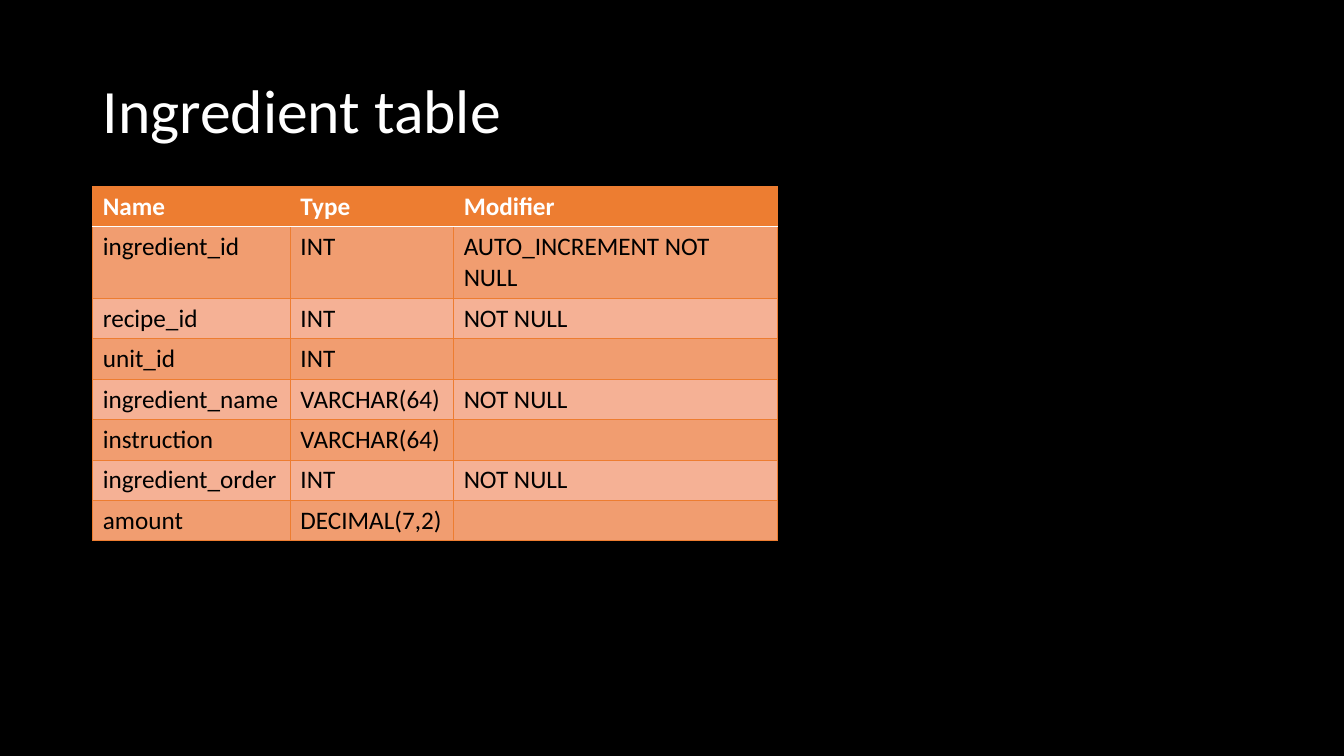
import pptx
import pptx.util
import pptx.dml.color
import pptx.enum.text
import pptx.oxml
import pptx.oxml.ns
from dataclasses import dataclass

Inches = pptx.util.Inches
Pt = pptx.util.Pt


@dataclass(frozen=True)
class Theme:
    font: str = "Calibri"
    back: str = "000000"
    light: str = "FFFFFF"
    dark: str = "000000"
    head: str = "ED7D31"
    odd: str = "F19D70"
    even: str = "F5B195"
    title: int = 44
    body: int = 18


HEADER = ("Name", "Type", "Modifier")
FIELDS = (
    ("ingredient_id", "INT", "AUTO_INCREMENT NOT NULL"),
    ("recipe_id", "INT", "NOT NULL"),
    ("unit_id", "INT", ""),
    ("ingredient_name", "VARCHAR(64)", "NOT NULL"),
    ("instruction", "VARCHAR(64)", ""),
    ("ingredient_order", "INT", "NOT NULL"),
    ("amount", "DECIMAL(7,2)", ""),
)
WIDTHS = (1.96, 1.62, 3.21)
HEIGHTS = (0.4, 0.71) + (0.4,) * 6


def rgb(code):
    return pptx.dml.color.RGBColor.from_string(code)


class Page:
    def __init__(self, deck, theme):
        self.theme = theme
        self.slide = deck.slides.add_slide(deck.slide_layouts[6])
        self.paint(self.slide.background.fill, theme.back)

    def paint(self, fill, color):
        fill.solid()
        fill.fore_color.rgb = rgb(color)

    def label(self, para, text, size, color, bold=False):
        run = para.add_run()
        run.text = text
        run.font.name = self.theme.font
        run.font.size = Pt(size)
        run.font.bold = bold
        run.font.color.rgb = rgb(color)

    def title(self, text, left, top, width, height):
        box = self.slide.shapes.add_textbox(
            Inches(left), Inches(top), Inches(width), Inches(height))
        frame = box.text_frame
        frame.word_wrap = True
        frame.vertical_anchor = pptx.enum.text.MSO_ANCHOR.MIDDLE
        para = frame.paragraphs[0]
        para.line_spacing = 0.9
        self.label(para, text, self.theme.title, self.theme.light)

    def border(self, cell, sides):
        """Draw cell edges; sides maps L, R, T, B, in that order, to (color, points)."""
        props = cell._tc.get_or_add_tcPr()
        for place, (side, (color, points)) in enumerate(sides.items()):
            props.insert(place, pptx.oxml.parse_xml(
                f'<a:ln{side} {pptx.oxml.ns.nsdecls("a")} w="{Pt(points)}">'
                f'<a:solidFill><a:srgbClr val="{color}"/></a:solidFill>'
                f'</a:ln{side}>'))

    def table(self, rows, left, top, widths, heights):
        theme = self.theme
        grid = self.slide.shapes.add_table(
            len(rows), len(widths), Inches(left), Inches(top),
            Inches(sum(widths)), Inches(sum(heights))).table
        for col, width in zip(grid.columns, widths):
            col.width = Inches(width)
        edge, rule = (theme.head, 0.5), (theme.light, 1)
        for i, (row, height) in enumerate(zip(rows, heights)):
            grid.rows[i].height = Inches(height)
            first = i == 0
            fill = theme.head if first else (theme.even, theme.odd)[i % 2]
            sides = {"L": edge, "R": edge,
                     "T": rule if i == 1 else edge,
                     "B": rule if first else edge}
            for j, text in enumerate(row):
                cell = grid.cell(i, j)
                self.paint(cell.fill, fill)
                self.border(cell, sides)
                if text:
                    self.label(cell.text_frame.paragraphs[0], text, theme.body,
                               theme.light if first else theme.dark, first)


def main():
    deck = pptx.Presentation()
    deck.slide_width = Inches(13.33)
    deck.slide_height = Inches(7.5)
    page = Page(deck, Theme())
    page.title("Ingredient table", 0.92, 0.4, 11.5, 1.45)
    page.table((HEADER,) + FIELDS, 0.92, 1.85, WIDTHS, HEIGHTS)
    deck.save("out.pptx")


if __name__ == "__main__":
    main()
